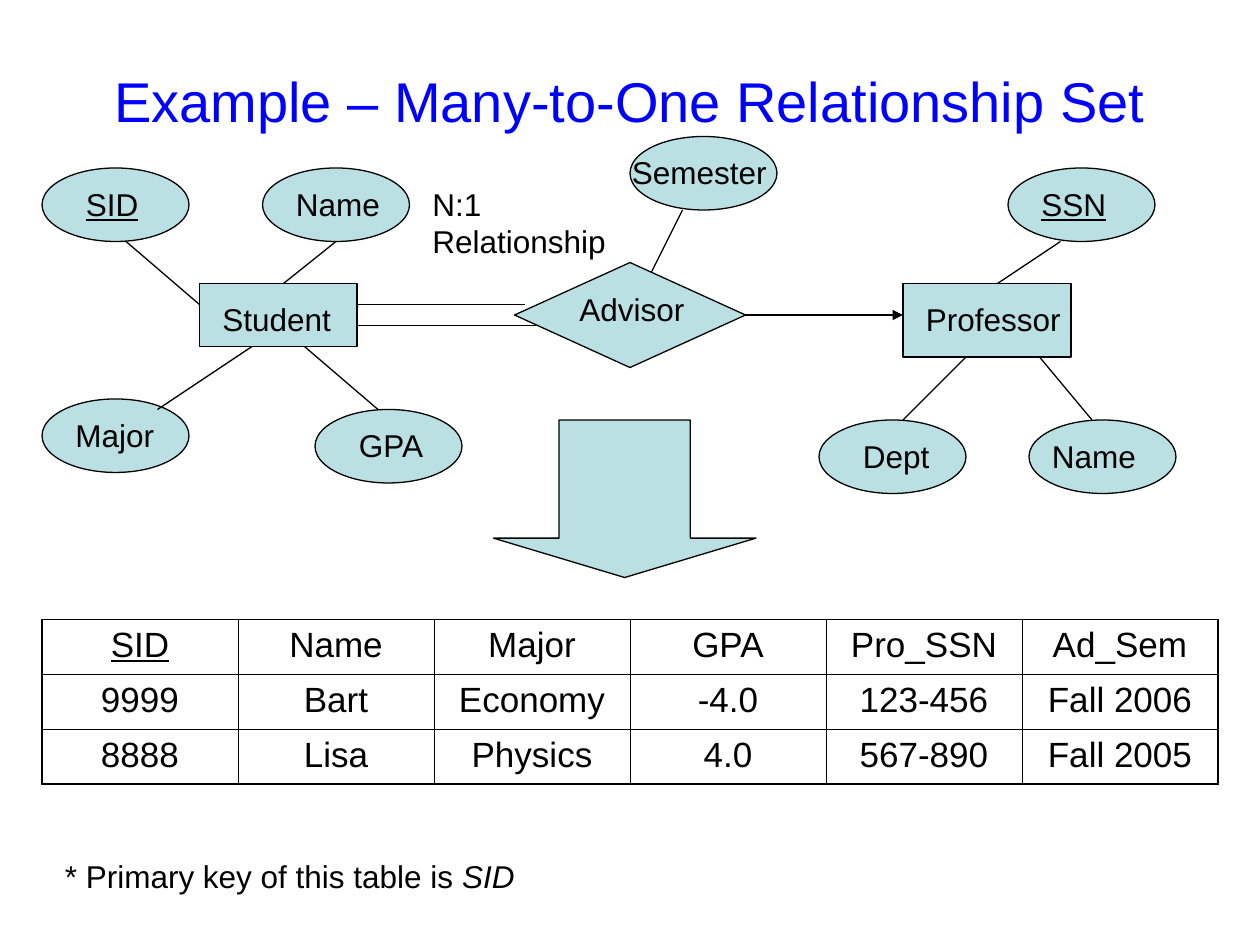
from lxml.etree import SubElement
from pptx import Presentation
from pptx.dml.color import RGBColor
from pptx.enum.shapes import MSO_CONNECTOR as Connector, MSO_SHAPE as Shape
from pptx.enum.text import MSO_ANCHOR as Anchor, MSO_AUTO_SIZE as AutoSize, PP_ALIGN as Align
from pptx.oxml import parse_xml
from pptx.oxml.ns import nsdecls, qn
from pptx.util import Pt

BLACK = RGBColor(0x00, 0x00, 0x00)
WHITE = RGBColor(0xFF, 0xFF, 0xFF)
BLUE = RGBColor(0x00, 0x00, 0xFF)
PALE_TEAL = RGBColor(0xBB, 0xE0, 0xE3)


class DiagramPage:
    font_name = "Arial"
    label_size, cell_size, title_size = 18, 20, 32
    label_height = 28.8
    line_width = 0.75
    inner_border, outer_border = 0.45, 1.08

    def __init__(self, deck):
        self.page = deck.slides.add_slide(deck.slide_layouts[5])

    def span(self, para, text, size, color=BLACK, underline=None, italic=None):
        run = para.add_run()
        run.text = text
        font = run.font
        font.name, font.size, font.color.rgb = self.font_name, Pt(size), color
        font.underline, font.italic = underline, italic

    def title(self, text, left, top, width, height):
        box = self.page.shapes.title
        box.left, box.top, box.width, box.height = map(Pt, (left, top, width, height))
        box.text_frame.vertical_anchor = Anchor.MIDDLE
        para = box.text_frame.paragraphs[0]
        para.alignment = Align.CENTER
        self.span(para, text, self.title_size, BLUE)

    def label(self, left, top, width, *spans, height=label_height):
        box = self.page.shapes.add_textbox(*map(Pt, (left, top, width, height)))
        frame = box.text_frame
        frame.word_wrap = True
        frame.auto_size = AutoSize.SHAPE_TO_FIT_TEXT
        for text, style in spans:
            self.span(frame.paragraphs[0], text, self.label_size, **style)

    def shape(self, kind, left, top, width, height):
        shape = self.page.shapes.add_shape(kind, *map(Pt, (left, top, width, height)))
        shape.shadow.inherit = False
        shape.fill.solid()
        shape.fill.fore_color.rgb = PALE_TEAL
        shape.line.color.rgb = BLACK
        shape.line.width = Pt(self.line_width)
        return shape

    def line(self, start, end, arrow=False):
        link = self.page.shapes.add_connector(
            Connector.STRAIGHT, *map(Pt, (*start, *end)))
        link.line.color.rgb = BLACK
        link.line.width = Pt(self.line_width)
        if arrow:
            SubElement(link.line._get_or_add_ln(), qn("a:tailEnd"), type="triangle")
        SubElement(link._element.spPr, qn("a:effectLst"))

    def borders(self, cell, outer_sides):
        properties = cell._tc.get_or_add_tcPr()
        for index, side in enumerate("LRTB"):
            width = self.outer_border if side in outer_sides else self.inner_border
            properties.insert(index, parse_xml(
                f'<a:ln{side} {nsdecls("a")} w="{int(Pt(width))}"><a:solidFill>'
                f'<a:srgbClr val="{BLACK}"/></a:solidFill></a:ln{side}>'))

    def table(self, rows, key, left, top, column_width, row_height):
        row_count, column_count = len(rows), len(rows[0])
        table = self.page.shapes.add_table(
            row_count, column_count, Pt(left), Pt(top),
            Pt(column_width * column_count), Pt(row_height * row_count)).table
        table.first_row = table.horz_banding = False
        for column in table.columns:
            column.width = Pt(column_width)
        for r, values in enumerate(rows):
            table.rows[r].height = Pt(row_height)
            for c, value in enumerate(values):
                cell = table.cell(r, c)
                cell.fill.solid()
                cell.fill.fore_color.rgb = WHITE
                edges = {"L": c == 0, "R": c == column_count - 1,
                         "T": r == 0, "B": r == row_count - 1}
                self.borders(cell, [side for side, outer in edges.items() if outer])
                para = cell.text_frame.paragraphs[0]
                para.alignment = Align.CENTER
                self.span(para, value, self.cell_size, underline=value == key or None)


def main():
    deck = Presentation()
    deck.slide_width, deck.slide_height = Pt(720), Pt(540)
    diagram = DiagramPage(deck)
    diagram.title("Example – Many-to-One Relationship Set", 36, 12, 648, 90)

    # Resulting relation
    diagram.table([
        ["SID", "Name", "Major", "GPA", "Pro_SSN", "Ad_Sem"],
        ["9999", "Bart", "Economy", "-4.0", "123-456", "Fall 2006"],
        ["8888", "Lisa", "Physics", "4.0", "567-890", "Fall 2005"],
    ], "SID", left=24, top=354, column_width=112, row_height=31.4)

    # Entities, relationship and the arrow down to the table
    diagram.shape(Shape.RECTANGLE, 114, 162, 90, 36)
    diagram.shape(Shape.RECTANGLE, 516, 162, 96, 42)
    diagram.shape(Shape.FLOWCHART_DECISION, 294, 150, 132, 60)
    down_arrow = diagram.shape(Shape.DOWN_ARROW, 282, 240, 150, 90)
    down_arrow.adjustments[0], down_arrow.adjustments[1] = 0.5, 0.25

    # Attributes: oval corner, label inset and width, link from oval to owner
    key = {"underline": True}
    attributes = [
        ("SID", key, (24, 96), 18, 60, (72, 138), (114, 174)),
        ("Name", {}, (150, 96), 12, 66, (192, 138), (162, 162)),
        ("Major", {}, (24, 228), 12, 60, (90, 234), (144, 198)),
        ("GPA", {}, (180, 234), 18, 54, (216, 234), (174, 198)),
        ("Semester", {}, (360, 78), -6, 102, (390, 120), (372, 156)),
        ("SSN", key, (576, 96), 12, 90, (606, 138), (570, 162)),
        ("Dept", {}, (468, 240), 18, 54, (516, 240), (552, 204)),
        ("Name", {}, (588, 240), 6, 66, (624, 240), (594, 204)),
    ]
    for name, style, (left, top), inset, width, start, end in attributes:
        diagram.shape(Shape.OVAL, left, top, 84, 42)
        diagram.line(start, end)
        diagram.label(left + inset, top + 6, width, (name, style))

    # Total participation of students, one professor each
    diagram.line((204, 174), (300, 174))
    diagram.line((204, 186), (306, 186))
    diagram.line((426, 180), (516, 180), arrow=True)

    # Names and notes
    diagram.label(120, 168, 78, ("Student", {}))
    diagram.label(522, 168, 102, ("Professor", {}))
    diagram.label(324, 162, 102, ("Advisor", {}))
    diagram.label(240, 102, 138, ("N:1 Relationship", {}), height=50.4)
    diagram.label(30, 486, 654, ("* Primary key of this table is ", {}),
                  ("SID", {"italic": True}))

    deck.save("out.pptx")


if __name__ == "__main__":
    main()
